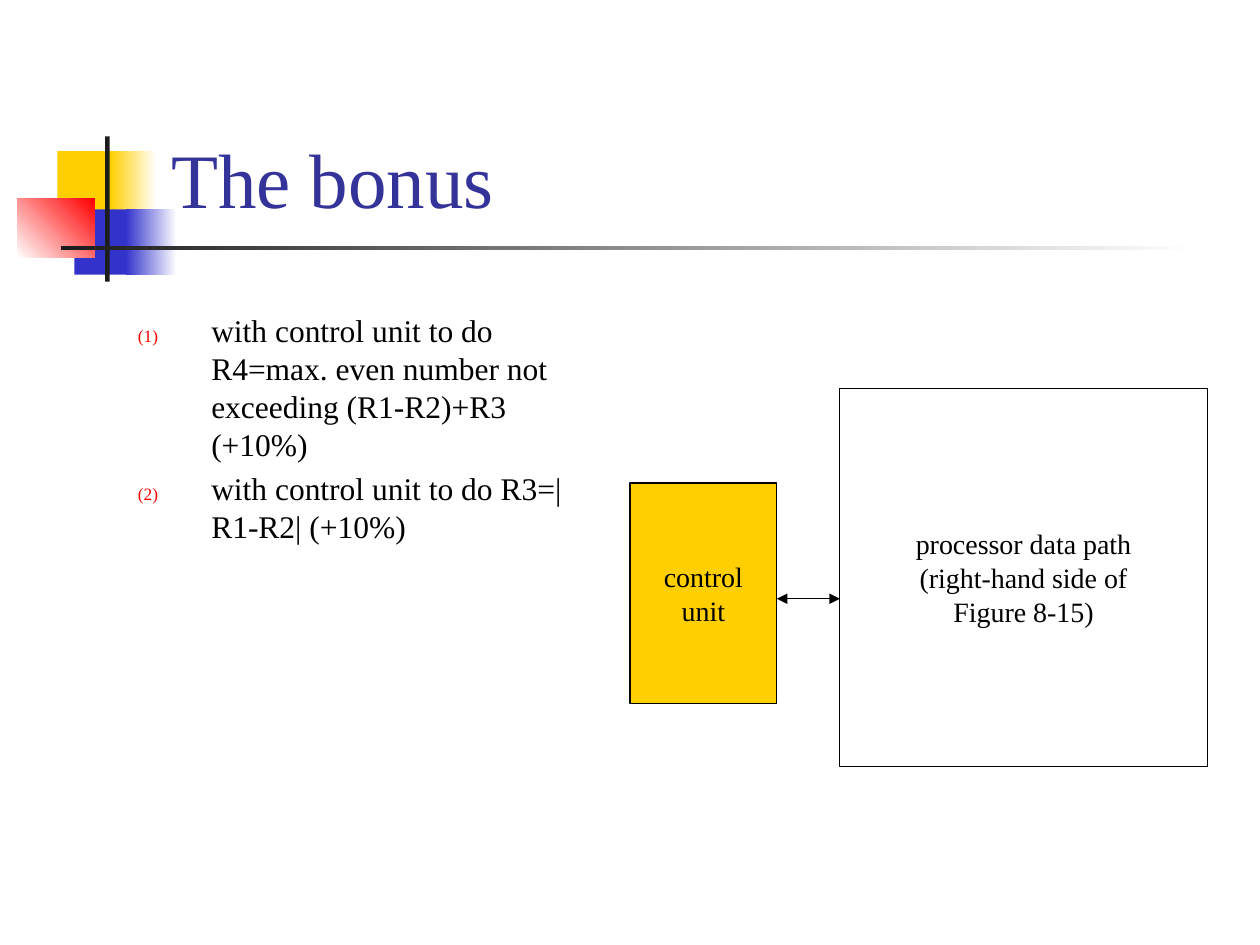
from lxml import etree
from pptx import Presentation
from pptx.dml.color import RGBColor
from pptx.enum.shapes import MSO_CONNECTOR, MSO_SHAPE
from pptx.enum.text import MSO_ANCHOR, PP_ALIGN
from pptx.oxml.ns import qn
from pptx.util import Cm, Pt

RECT = MSO_SHAPE.RECTANGLE
STRAIGHT = MSO_CONNECTOR.STRAIGHT
TOP, MIDDLE, BOTTOM = MSO_ANCHOR.TOP, MSO_ANCHOR.MIDDLE, MSO_ANCHOR.BOTTOM
LEFT, CENTER = PP_ALIGN.LEFT, PP_ALIGN.CENTER
YELLOW, BLUE, RED = "FFCF01", "3333CC", "FF0000"
BLACK, DARK, WHITE, NAVY = "000000", "1C1C1C", "FFFFFF", "333399"


def rgb(value):
    return RGBColor.from_string(value)


class SlideBuilder:
    font = "Times New Roman"
    line_width = Pt(0.75)

    def __init__(self, s):
        self.s = s

    def set_text(self, sp, lines, size, color=BLACK, anchor=TOP, align=LEFT, wrap=True):
        tf = sp.text_frame
        tf.word_wrap = wrap
        tf.vertical_anchor = anchor
        tf.text = "\n".join(lines)
        for p in tf.paragraphs:
            p.alignment = align
            for r in p.runs:
                r.font.name = self.font
                r.font.size = Pt(size)
                r.font.color.rgb = rgb(color)
        return tf

    def rect(self, box, colors=(), angle=0, outlined=False):
        sp = self.s.shapes.add_shape(RECT, *map(Cm, box))
        sp.shadow.inherit = False
        if len(colors) == 2:
            sp.fill.gradient()
            sp.fill.gradient_angle = angle
            for stop, color in zip(sp.fill.gradient_stops, colors):
                stop.color.rgb = rgb(color)
        elif colors:
            sp.fill.solid()
            sp.fill.fore_color.rgb = rgb(colors[0])
        else:
            sp.fill.background()
        if outlined:
            sp.line.color.rgb = rgb(BLACK)
            sp.line.width = self.line_width
        else:
            sp.line.fill.background()
        return sp

    def block(self, box, lines, colors=()):
        sp = self.rect(box, colors, outlined=True)
        self.set_text(sp, lines, 16, anchor=MIDDLE, align=CENTER, wrap=False)

    def text(self, box, lines, size, **style):
        sp = self.s.shapes.add_textbox(*map(Cm, box))
        return self.set_text(sp, lines, size, **style)

    def numbered(self, box, lines, size):
        for p in self.text(box, lines, size).paragraphs:
            p.space_before = Pt(size * 0.2)
            pPr = p._p.get_or_add_pPr()
            pPr.set("marL", str(Cm(2.74)))
            pPr.set("indent", str(Cm(-1.48)))
            bullet_color = etree.SubElement(pPr, qn("a:buClr"))
            etree.SubElement(bullet_color, qn("a:srgbClr"), val=RED)
            etree.SubElement(pPr, qn("a:buSzPct"), val="55000")
            etree.SubElement(pPr, qn("a:buFont"), typeface=self.font)
            etree.SubElement(pPr, qn("a:buAutoNum"), type="arabicParenBoth")

    def double_arrow(self, x1, y1, x2, y2):
        c = self.s.shapes.add_connector(STRAIGHT, Cm(x1), Cm(y1), Cm(x2), Cm(y2))
        c.line.color.rgb = rgb(BLACK)
        c.line.width = self.line_width
        ln = c._element.spPr.find(qn("a:ln"))
        for end in ("a:headEnd", "a:tailEnd"):
            etree.SubElement(ln, qn(end), type="triangle")
        etree.SubElement(c._element.spPr, qn("a:effectLst"))


prs = Presentation()
prs.slide_width, prs.slide_height = Cm(25.4), Cm(19.05)
slide = SlideBuilder(prs.slides.add_slide(prs.slide_layouts[6]))

for box, colors, angle in [
    ((1.16, 3.05, 1.22, 1.32), [YELLOW], 0),
    ((2.23, 3.05, 0.92, 1.32), [YELLOW, WHITE], 0),
    ((1.5, 4.22, 1.18, 1.32), [BLUE], 0),
    ((2.54, 4.22, 1.02, 1.32), [BLUE, WHITE], 0),
    ((0.35, 4.01, 1.56, 1.18), [WHITE, RED], 45),
    ((2.12, 2.75, 0.09, 2.93), [DARK], 0),
    ((1.23, 4.95, 22.86, 0.09), [DARK, WHITE], 0),
]:
    slide.rect(box, colors, angle)

slide.text((3.2, 0.58, 21.64, 4.06), ["The bonus"], 44, color=NAVY, anchor=BOTTOM)
slide.numbered((1.27, 6.15, 10.59, 11.43), [
    "with control unit to do R4=max. even number not exceeding (R1-R2)+R3 (+10%)",
    "with control unit to do R3=|R1-R2| (+10%)",
], 18)

slide.block((16.93, 7.83, 7.41, 7.62),
            ["processor data path", "(right-hand side of", "Figure 8-15)"])
slide.block((12.7, 9.74, 2.96, 4.45), ["control", "unit"], [YELLOW])
slide.double_arrow(15.66, 12.07, 16.93, 12.07)

prs.save("out.pptx")
